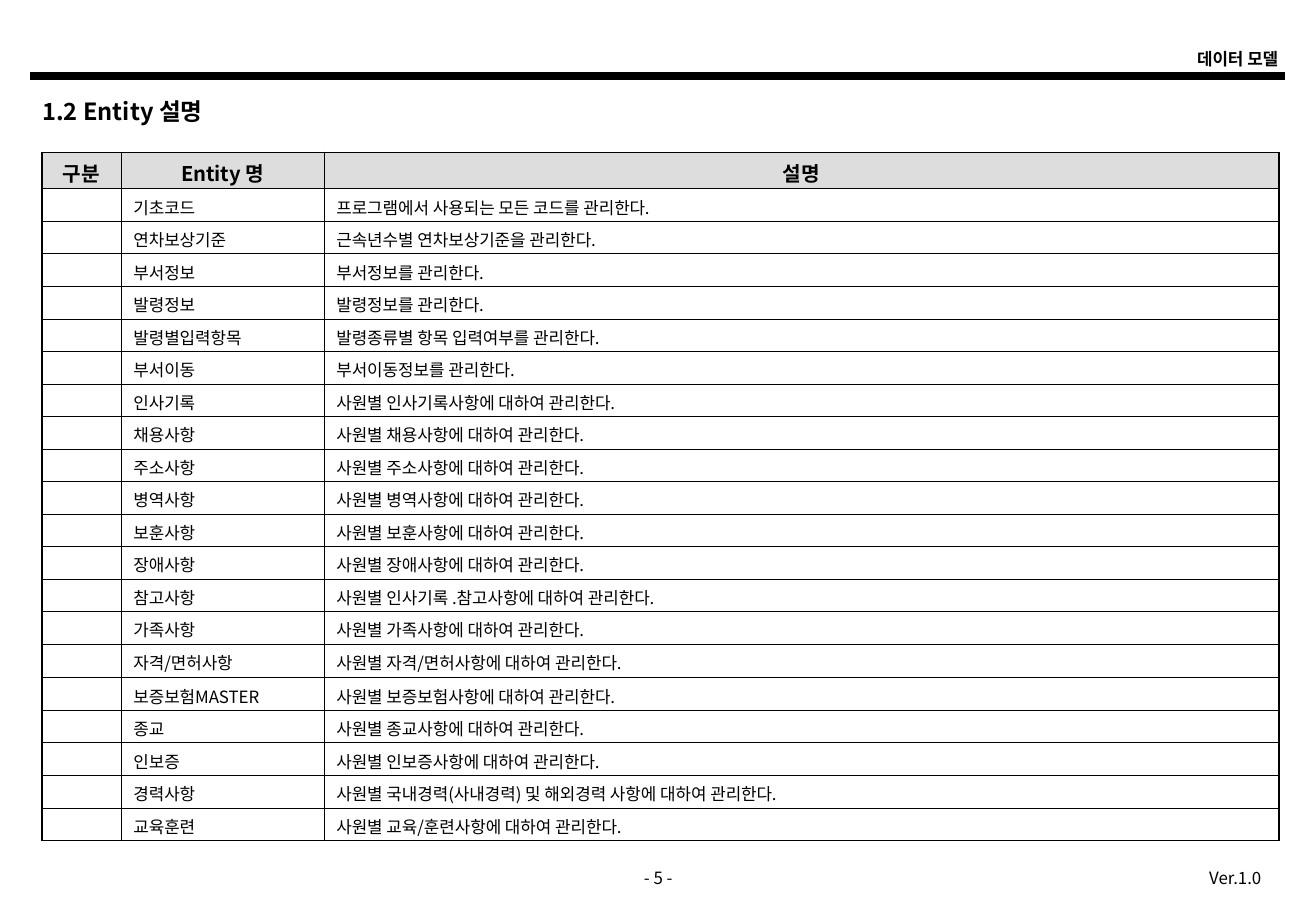
from lxml import etree
from pptx import Presentation
from pptx.dml.color import RGBColor
from pptx.enum import shapes, text
from pptx.oxml import ns
from pptx.util import Pt

FONT = "Noto Sans CJK KR"
LEFT, MID, RIGHT = text.PP_ALIGN.LEFT, text.PP_ALIGN.CENTER, text.PP_ALIGN.RIGHT
THIN, THICK = 0.45, 1.08


def color(code):
    return RGBColor.from_string(code)


def write(frame, words, size, bold, align):
    """Put one styled line into a text frame, sizing an empty one too."""
    frame.text = words
    para = frame.paragraphs[0]
    para.alignment = align
    for run in para.runs:
        font = run.font
        font.name, font.size, font.bold = FONT, Pt(size), bold
        font.color.rgb = color("000000")
        etree.SubElement(font._element, ns.qn("a:ea"), typeface=FONT)
    if not words:
        etree.SubElement(para._p, ns.qn("a:endParaRPr"), sz=str(size * 100))


deck = Presentation()
deck.slide_width = Pt(780.48)
deck.slide_height = Pt(540)
slide = deck.slides.add_slide(deck.slide_layouts[6])

# Header, title and footer
labels = [
    ("데이터 모델", 466.3, 25.4, 298.8, 21.7, 10, True, RIGHT),
    ("- 5 -", 356.9, 510.8, 67, 21.7, 10, False, MID),
    ("Ver.1.0", 456.3, 510.8, 298.8, 21.7, 10, False, RIGHT),
    ("1.2 Entity 설명", 18, 53.8, 732, 27.5, 14, True, LEFT),
]
for words, left, top, width, height, size, bold, align in labels:
    box = slide.shapes.add_textbox(Pt(left), Pt(top), Pt(width), Pt(height))
    box.text_frame.word_wrap = True
    write(box.text_frame, words, size, bold, align)

rule = slide.shapes.add_connector(
    shapes.MSO_CONNECTOR.STRAIGHT, Pt(18), Pt(45), Pt(762), Pt(45))
rule.line.color.rgb = color("000000")
rule.line.width = Pt(4.5)
etree.SubElement(rule._element.spPr, ns.qn("a:effectLst"))

# Entity table
rows = [
    ("Entity 명", "설명"),
    ("기초코드", "프로그램에서 사용되는 모든 코드를 관리한다."),
    ("연차보상기준", "근속년수별 연차보상기준을 관리한다."),
    ("부서정보", "부서정보를 관리한다."),
    ("발령정보", "발령정보를 관리한다."),
    ("발령별입력항목", "발령종류별 항목 입력여부를 관리한다."),
    ("부서이동", "부서이동정보를 관리한다."),
    ("인사기록", "사원별 인사기록사항에 대하여 관리한다."),
    ("채용사항", "사원별 채용사항에 대하여 관리한다."),
    ("주소사항", "사원별 주소사항에 대하여 관리한다."),
    ("병역사항", "사원별 병역사항에 대하여 관리한다."),
    ("보훈사항", "사원별 보훈사항에 대하여 관리한다."),
    ("장애사항", "사원별 장애사항에 대하여 관리한다."),
    ("참고사항", "사원별 인사기록 .참고사항에 대하여 관리한다."),
    ("가족사항", "사원별 가족사항에 대하여 관리한다."),
    ("자격/면허사항", "사원별 자격/면허사항에 대하여 관리한다."),
    ("보증보험MASTER", "사원별 보증보험사항에 대하여 관리한다."),
    ("종교", "사원별 종교사항에 대하여 관리한다."),
    ("인보증", "사원별 인보증사항에 대하여 관리한다."),
    ("경력사항", "사원별 국내경력(사내경력) 및 해외경력 사항에 대하여 관리한다."),
    ("교육훈련", "사원별 교육/훈련사항에 대하여 관리한다."),
]
widths = [47.1, 120.4, 566.3]
heights = [21.6] + [19.3] * 14 + [20] + [19.3] * 5
last = len(rows) - 1

grid = slide.shapes.add_table(
    len(rows), 3, Pt(24.8), Pt(90.3), Pt(sum(widths)), Pt(sum(heights))).table
grid.first_row = grid.horz_banding = False
for col, width in zip(grid.columns, widths):
    col.width = Pt(width)

for r, pair in enumerate(rows):
    grid.rows[r].height = Pt(heights[r])
    head = r == 0
    for c, words in enumerate(("구분" if head else "", *pair)):
        cell = grid.cell(r, c)
        cell.margin_left = cell.margin_right = Pt(7.2)
        cell.margin_top, cell.margin_bottom = Pt(3.5), 0
        write(cell.text_frame, words, 12 if head else 10, head, MID if head else LEFT)
        props = cell._tc.get_or_add_tcPr()
        outer = {"L": c == 0, "R": c == 2, "T": head, "B": r == last}
        for side, edge in outer.items():
            line = etree.SubElement(
                props, ns.qn("a:ln" + side), w=str(Pt(THICK if edge else THIN)))
            fill = etree.SubElement(line, ns.qn("a:solidFill"))
            etree.SubElement(fill, ns.qn("a:srgbClr"), val="000000")
        cell.fill.solid()
        cell.fill.fore_color.rgb = color("DDDDDD" if head else "FFFFFF")

deck.save("out.pptx")
